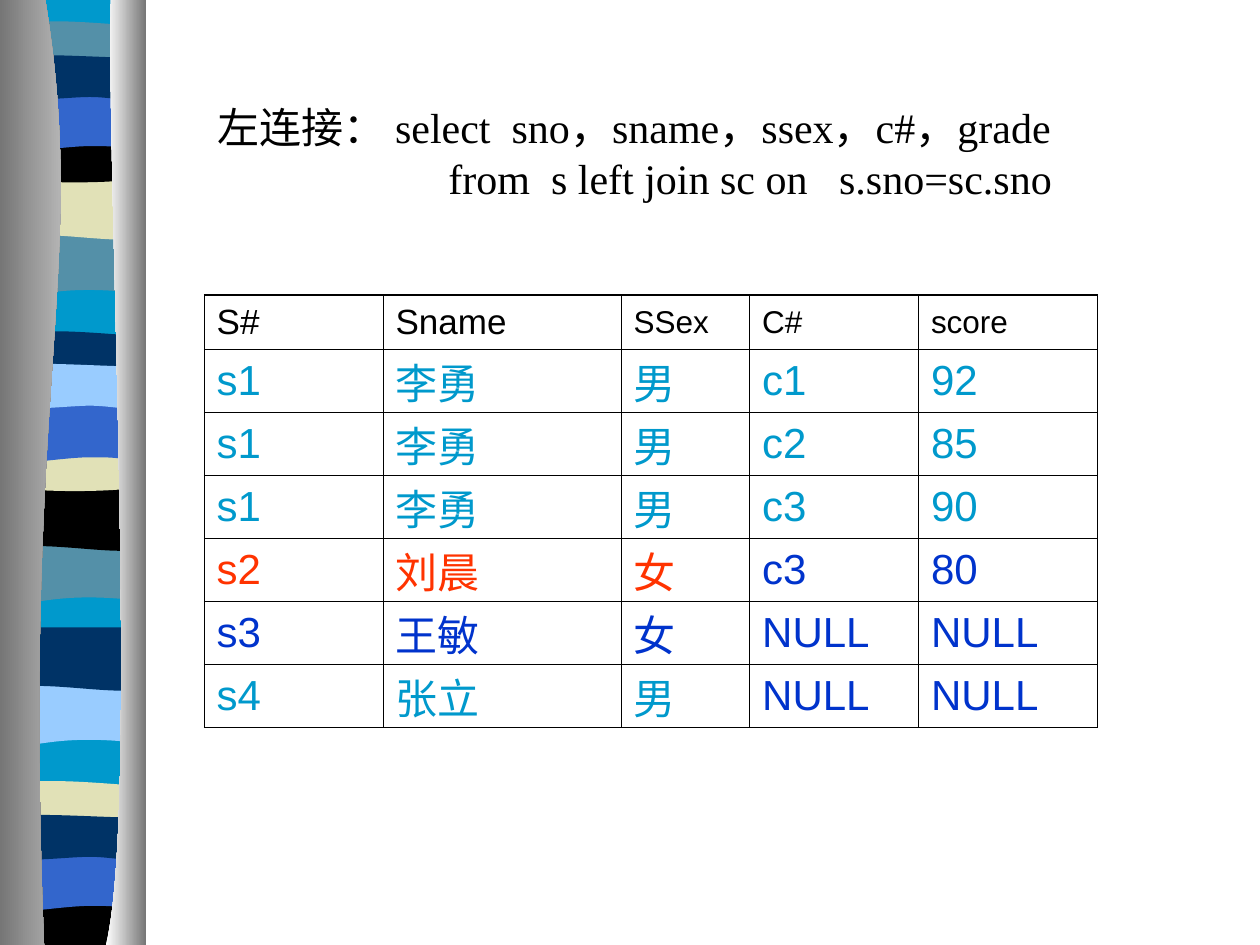
from dataclasses import dataclass

from lxml import etree
from pptx import Presentation
from pptx.dml.color import RGBColor
from pptx.enum.text import MSO_ANCHOR
from pptx.oxml import parse_xml
from pptx.oxml.ns import nsdecls, qn
from pptx.util import Inches, Pt

MIDDLE = MSO_ANCHOR.MIDDLE


@dataclass(frozen=True)
class Theme:
    black: str = "000000"
    cyan: str = "0099CC"
    slate: str = "5490A8"
    tan: str = "E1E1B7"
    navy: str = "003366"
    blue: str = "3366CC"
    sky: str = "99CCFF"
    red: str = "FF3300"
    royal: str = "0033CC"
    gray: str = "767676"
    pale: str = "D2D2D2"
    white: str = "FFFFFF"
    sans: str = "Arial"
    serif: str = "Times New Roman"
    body: int = 24
    head: int = 20
    label: int = 18
    thin: float = 0.45
    thick: float = 1.08


T = Theme()
WIDE, HIGH = 10, 7.5
BAND_X, BAND_W = 0.06, 1.07

# Edges of each band kind: x is a share of the band width, y is inches
# below the band top; top edge runs left to right, bottom edge back.
FLAT = [(0, 0), (1, 0)]
SAG = [(0, 0), (0.62, 0.05), (0.8, 0), (1, 0)]
KINDS = {
    "wave": (FLAT, [(1, 0.47), (0.31, 0.38), (0.17, 0.54), (0, 0.47)]),
    "swell": (FLAT, [(1, 0.48), (0.83, 0.55), (0.31, 0.42), (0, 0.48)]),
    "lens": ([(0, 0.05), (0.07, 0), (0.22, 0.01), (0.38, 0.01),
              (0.55, 0.01), (0.87, 0.04), (1, 0.05)],
             [(1, 0.29), (0.83, 0.33), (0.17, 0.33), (0, 0.29)]),
    "dip": (SAG, [(1, 0.33), (0.83, 0.38), (0.17, 0.38), (0, 0.33)]),
    "base": (SAG, [(1, 0.38), (0, 0.38)]),
    "arch": (FLAT, [(1, 0.47), (0.84, 0.42), (0.78, 0.42), (0.61, 0.42),
                    (0.45, 0.42), (0.16, 0.47), (0, 0.47)]),
    "bow": ([(0, 0.05), (0.14, 0), (0.68, 0.05), (1, 0.05)],
            [(1, 0.36), (0.93, 0.41), (0.78, 0.36), (0.61, 0.36),
             (0.45, 0.36), (0.1, 0.41), (0, 0.36)]),
}
BANDS = [
    ("wave", 1.86, T.slate), ("swell", 1.4, T.tan), ("lens", 0.16, T.slate),
    ("dip", 1.08, T.black), ("arch", 0.74, T.blue), ("bow", 0.41, T.navy),
    ("wave", 4.3, T.slate), ("swell", 3.87, T.black), ("lens", 2.62, T.navy),
    ("dip", 3.53, T.tan), ("arch", 3.21, T.blue), ("bow", 2.86, T.sky),
    ("wave", 5.43, T.sky), ("swell", 4.98, T.navy), ("lens", 6.19, T.tan),
    ("base", 7.12, T.black), ("arch", 6.77, T.blue), ("bow", 6.44, T.navy),
]

COLS = [1.42, 1.89, 1.02, 1.34, 1.42]
HEAD = ["S#", "Sname", "SSex", "C#", "score"]
SIZES = [T.head] * 2 + [T.label] * 3
# Each row: its values, the colour of the student part, of the course part.
ROWS = [
    (["s1", "李勇", "男", "c1", "92"], T.cyan, T.cyan),
    (["s1", "李勇", "男", "c2", "85"], T.cyan, T.cyan),
    (["s1", "李勇", "男", "c3", "90"], T.cyan, T.cyan),
    (["s2", "刘晨", "女", "c3", "80"], T.red, T.royal),
    (["s3", "王敏", "女", "NULL", "NULL"], T.royal, T.royal),
    (["s4", "张立", "男", "NULL", "NULL"], T.cyan, T.royal),
]
QUERY = [
    "左连接： select  sno，sname，ssex，c#，grade",
    "                      from  s left join sc on   s.sno=sc.sno",
]


def bend(form, edges):
    """Turn the line steps of each edge of over two points into cubics."""
    steps = list(next(form._element.iter(qn("a:path"))))
    start = 0
    for edge in edges:
        for i in range(start + 1, start + len(edge), 3):
            if len(edge) > 2:
                cubic = etree.Element(qn("a:cubicBezTo"))
                steps[i].addprevious(cubic)
                for step in steps[i:i + 3]:
                    cubic.append(step[0])
                    step.getparent().remove(step)
        start += len(edge)


def shape(slide, edges, *tones):
    """Draw a closed outline; two tones make a left-to-right gradient."""
    spots = [(Inches(x), Inches(y)) for edge in edges for x, y in edge]
    pen = slide.shapes.build_freeform(*spots[0])
    pen.add_line_segments(spots[1:], close=False)
    form = pen.convert_to_shape()
    bend(form, edges)
    etree.SubElement(next(form._element.iter(qn("a:path"))), qn("a:close"))
    form.shadow.inherit = False
    form.line.fill.background()
    if len(tones) == 1:
        form.fill.solid()
        form.fill.fore_color.rgb = RGBColor.from_string(tones[0])
        return
    form.fill.gradient()
    form.fill.gradient_angle = 0
    for stop, tone, spot in zip(form.fill.gradient_stops, tones, (0, 1)):
        stop.color.rgb = RGBColor.from_string(tone)
        stop.position = spot


def band(slide, kind, top, tone):
    shape(slide, [[(BAND_X + x * BAND_W, top + y) for x, y in edge]
                  for edge in KINDS[kind]], tone)


def write(frame, lines, font=T.sans, size=T.body, tone=T.black):
    for n, line in enumerate(lines):
        para = frame.paragraphs[0] if n == 0 else frame.add_paragraph()
        run = para.add_run()
        run.text = line
        run.font.name = font
        run.font.size = Pt(size)
        run.font.color.rgb = RGBColor.from_string(tone)


def border(cell, **widths):
    props = cell._tc.get_or_add_tcPr()
    for n, (side, width) in enumerate(widths.items()):
        props.insert(n, parse_xml(
            f'<a:{side} {nsdecls("a")} w="{Pt(width)}"><a:solidFill>'
            f'<a:srgbClr val="{T.black}"/></a:solidFill></a:{side}>'))


def ribbon(slide):
    right = BAND_X + BAND_W
    shape(slide, [[(BAND_X, 0), (right, 0)], [(right, HIGH), (BAND_X, HIGH)]],
          T.cyan)
    for item in BANDS:
        band(slide, *item)
    shape(slide, [[(0.36, 0), (0.71, 2.16), (0.17, 2.96), (0.35, HIGH)],
                  [(0, HIGH), (0, 0)]], T.gray, T.pale)
    shape(slide, [[(0.88, 0), (0.84, 1.25), (1.11, 6.46), (0.84, HIGH)],
                  [(1.16, HIGH), (1.16, 0)]], T.white, T.gray)


def grid(slide):
    tall = [0.43] + [0.5] * len(ROWS)
    table = slide.shapes.add_table(
        len(tall), len(COLS), Inches(1.62), Inches(2.34),
        Inches(sum(COLS)), Inches(sum(tall))).table
    table.first_row = table.horz_banding = False
    for col, width in zip(table.columns, COLS):
        col.width = Inches(width)
    for row, height in zip(table.rows, tall):
        row.height = Inches(height)
    for r, (vals, who, course) in enumerate([(HEAD, T.black, T.black)] + ROWS):
        for c, val in enumerate(vals):
            cell = table.cell(r, c)
            cell.fill.background()
            cell.vertical_anchor = MIDDLE
            cell.margin_top = Inches(0.01)
            cell.margin_bottom = 0
            write(cell.text_frame, [val], tone=who if c < 3 else course,
                  size=T.body if r else SIZES[c])
            border(cell, lnL=T.thin, lnR=T.thin,
                   lnT=T.thin if r else T.thick, lnB=T.thin)


def query(slide):
    box = slide.shapes.add_textbox(Inches(1.63), Inches(0.76),
                                   Inches(7.4), Inches(1.3))
    box.text_frame.word_wrap = True
    write(box.text_frame, QUERY, font=T.serif)


def main():
    deck = Presentation()
    deck.slide_width, deck.slide_height = Inches(WIDE), Inches(HIGH)
    slide = deck.slides.add_slide(deck.slide_layouts[6])
    ribbon(slide)
    grid(slide)
    query(slide)
    deck.save("out.pptx")


if __name__ == "__main__":
    main()
